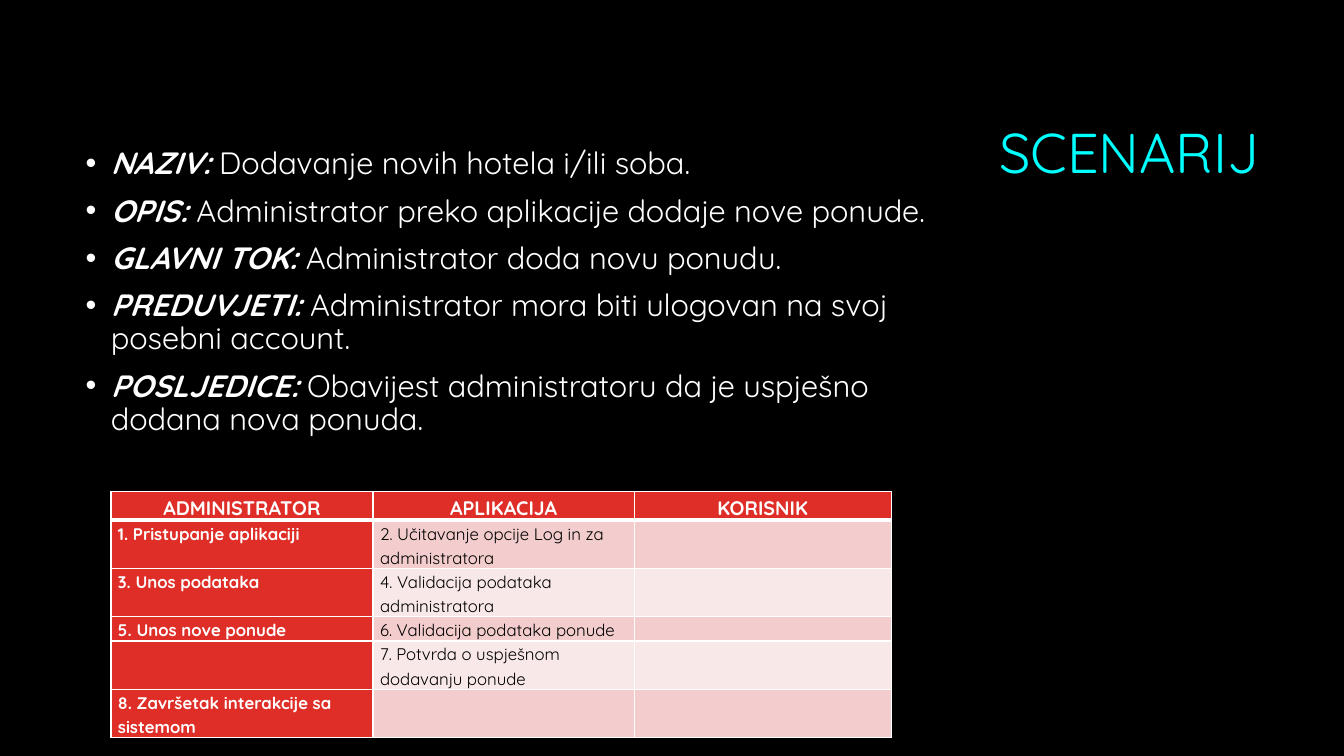
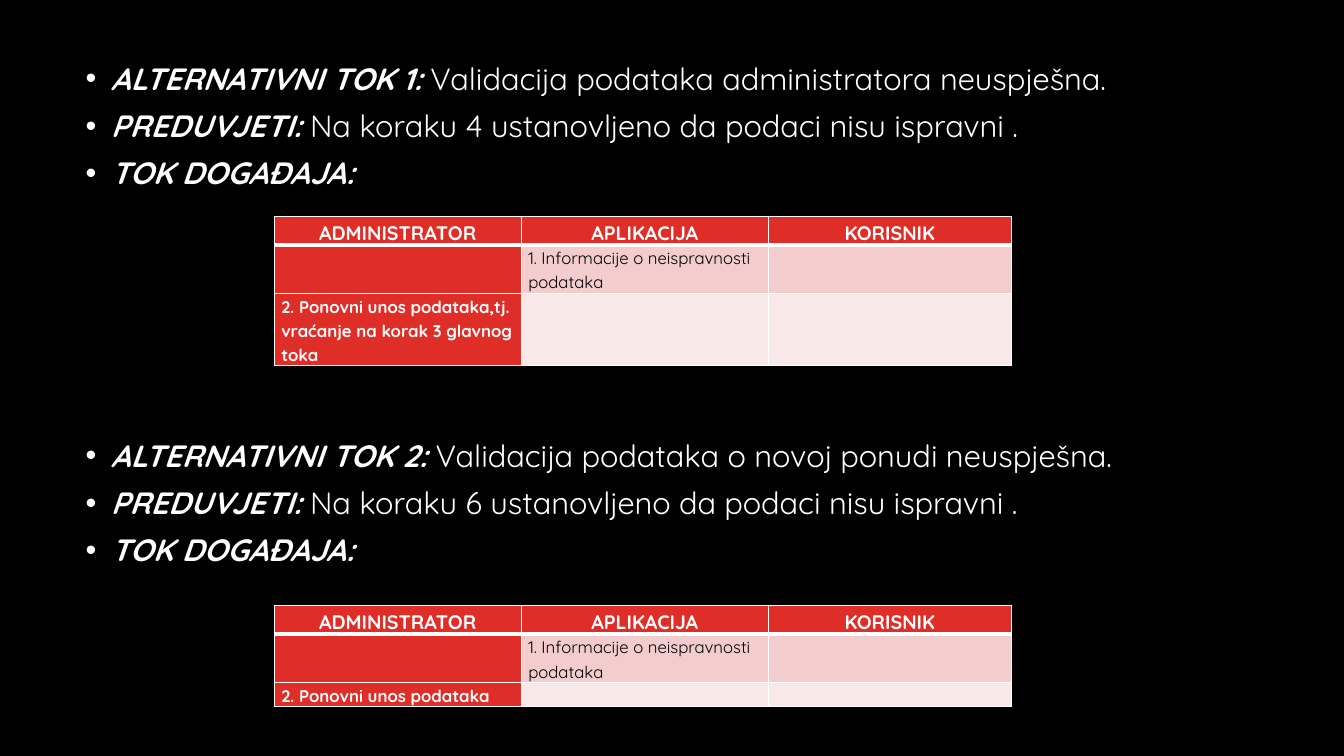
from dataclasses import dataclass

from lxml import etree
from pptx import Presentation
from pptx.dml.color import RGBColor
from pptx.enum import text as enum
from pptx.oxml import ns
from pptx.util import Inches, Pt


@dataclass(frozen=True)
class Theme:
    font: str = "Quicksand"
    back: str = "000000"
    title: str = "00FFFF"
    light: str = "FFFFFF"
    dark: str = "000000"
    red: str = "DF2E28"
    bands: tuple = ("F3CDCD", "F9E8E8")
    title_size: int = 40
    body_size: int = 22
    head_size: int = 14
    cell_size: int = 12
    head_row: float = 0.28
    cell_line: float = 0.24


THEME = Theme()
HEADS = ("ADMINISTRATOR", "APLIKACIJA", "KORISNIK")


def paint(fill, color):
    fill.solid()
    fill.fore_color.rgb = RGBColor.from_string(color)


def write(para, words, size, color, bold=False, italic=False):
    run = para.add_run()
    run.text = words
    font = run.font
    font.name, font.size = THEME.font, Pt(size)
    font.bold, font.italic = bold, italic
    font.color.rgb = RGBColor.from_string(color)


def place(shape, left, top, width, height):
    shape.left, shape.top = Inches(left), Inches(top)
    shape.width, shape.height = Inches(width), Inches(height)
    shape.text_frame.auto_size = enum.MSO_AUTO_SIZE.NONE


def add_title(slide, words, box):
    shape = slide.shapes.title
    place(shape, *box)
    shape.text_frame.vertical_anchor = enum.MSO_ANCHOR.MIDDLE
    para = shape.text_frame.paragraphs[0]
    para.alignment = enum.PP_ALIGN.RIGHT
    para.line_spacing = 0.9
    write(para, words, THEME.title_size, THEME.title)


def add_list(slide, groups, box, gap=0):
    """Fill the body with (label, words) items; gap is the space in points between groups."""
    body = slide.placeholders[1]
    place(body, *box)
    frame = body.text_frame
    para = None
    for items in groups:
        for i, (label, words) in enumerate(items):
            first = para is None
            para = frame.paragraphs[0] if first else frame.add_paragraph()
            para.line_spacing = 0.9
            para.space_before = Pt(gap if i == 0 and not first else 10)
            props = para._p.get_or_add_pPr()
            props.set("marL", str(Inches(0.25)))
            props.set("indent", str(Inches(-0.25)))
            write(para, label, THEME.body_size, THEME.light, True, True)
            if words:
                write(para, " " + words, THEME.body_size, THEME.light)


def edge(cell, side, width):
    props = cell._tc.get_or_add_tcPr()
    line = etree.SubElement(props, ns.qn("a:ln" + side), w=str(Pt(width)))
    fill = etree.SubElement(line, ns.qn("a:solidFill"))
    etree.SubElement(fill, ns.qn("a:srgbClr"), val=THEME.light)


def fill_cell(cell, words, row, col):
    head = row == 0
    strong = head or col == 0
    size = THEME.head_size if head else THEME.cell_size
    cell.margin_left = cell.margin_right = Inches(0.07)
    cell.margin_top = cell.margin_bottom = 0
    for side in "LRTB":
        thick = (side == "B" and head) or (side == "T" and row == 1)
        edge(cell, side, 3 if thick else 1)
    paint(cell.fill, THEME.red if strong else THEME.bands[(row - 1) % 2])
    para = cell.text_frame.paragraphs[0]
    para.line_spacing = 1.15
    if head:
        para.alignment = enum.PP_ALIGN.CENTER
    if words:
        write(para, words, size, THEME.light if strong else THEME.dark, strong)
    else:
        # an empty cell must not grow its row
        etree.SubElement(para._p, ns.qn("a:endParaRPr"), sz=str(size * 100))


def add_flow(slide, left, top, widths, steps):
    """Draw a flow table; each step is (lines of text, administrator, application)."""
    rows = [HEADS] + [(*step[1:], "") for step in steps]
    highs = [THEME.head_row] + [step[0] * THEME.cell_line for step in steps]
    frame = slide.shapes.add_table(
        len(rows), len(HEADS), Inches(left), Inches(top),
        Inches(sum(widths)), Inches(sum(highs)))
    table = frame.table
    table.first_row = table.horz_banding = False
    for col, width in zip(table.columns, widths):
        col.width = Inches(width)
    for r, (cells, high) in enumerate(zip(rows, highs)):
        table.rows[r].height = Inches(high)
        for c, words in enumerate(cells):
            fill_cell(table.cell(r, c), words, r, c)


def add_main(deck, layout):
    slide = deck.slides.add_slide(layout)
    add_title(slide, "SCENARIJ", (3.17, 0.84, 9.42, 1.41))
    add_list(slide, [[
        ("NAZIV:", "Dodavanje novih hotela i/ili soba."),
        ("OPIS:", "Administrator preko aplikacije dodaje nove ponude."),
        ("GLAVNI TOK:", "Administrator doda novu ponudu."),
        ("PREDUVJETI:", "Administrator mora biti ulogovan na svoj posebni account."),
        ("POSLJEDICE:", "Obavijest administratoru da je uspješno dodana nova ponuda."),
    ]], (0.75, 1.42, 9.05, 3.2))
    add_flow(slide, 1.1, 4.88, (2.6, 2.59, 2.55), [
        (2, "1. Pristupanje aplikaciji", "2. Učitavanje opcije Log in za administratora"),
        (2, "3. Unos podataka", "4. Validacija podataka administratora"),
        (1, "5. Unos nove ponude", "6. Validacija podataka ponude"),
        (2, "", "7. Potvrda o uspješnom dodavanju ponude"),
        (2, "8. Završetak interakcije sa sistemom", ""),
    ])


def add_other(deck, layout):
    slide = deck.slides.add_slide(layout)
    title = slide.shapes.title._element
    title.getparent().remove(title)
    flows = (
        (1, "administratora", 4, 2.15, 3,
         "2. Ponovni unos podataka,tj. vraćanje na korak 3 glavnog toka"),
        (2, "o novoj ponudi", 6, 6.01, 1, "2. Ponovni unos podataka"),
    )
    add_list(slide, [[
        (f"ALTERNATIVNI TOK {num}:", f"Validacija podataka {what} neuspješna."),
        ("PREDUVJETI:", f"Na koraku {step} ustanovljeno da podaci nisu ispravni ."),
        ("TOK DOGAĐAJA:", ""),
    ] for num, what, step, *_ in flows], (0.75, 0.58, 11.83, 6.92), 178)
    for *_, top, lines, retry in flows:
        add_flow(slide, 2.72, top, (2.45, 2.45, 2.41), [
            (2, "", "1. Informacije o neispravnosti podataka"),
            (lines, retry, ""),
        ])


def main():
    deck = Presentation()
    deck.slide_width, deck.slide_height = Inches(13.33), Inches(7.5)
    paint(deck.slide_master.background.fill, THEME.back)
    layout = deck.slide_layouts.get_by_name("Title and Content")
    add_main(deck, layout)
    add_other(deck, layout)
    deck.save("out.pptx")


if __name__ == "__main__":
    main()
